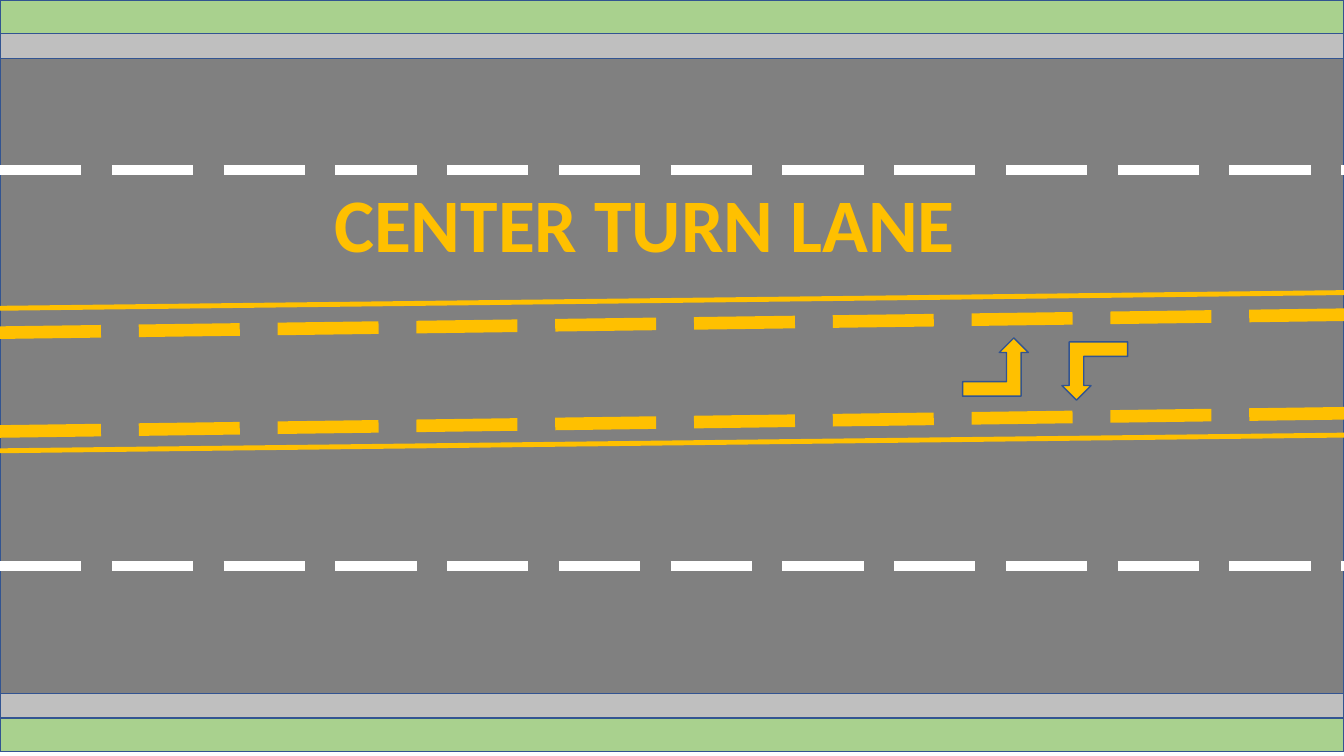
"""Draw a road from above with a center turn lane."""
from pptx import Presentation
from pptx.dml.color import RGBColor
from pptx.enum.dml import MSO_LINE
from pptx.enum.shapes import MSO_CONNECTOR, MSO_SHAPE
from pptx.enum.text import MSO_AUTO_SIZE, PP_ALIGN
from pptx.util import Pt
from lxml import etree

WIDTH, HEIGHT = 960, 540
YELLOW, WHITE, OUTLINE = "FFC000", "FFFFFF", "325491"
GRASS, SIDEWALK, ASPHALT = "A9D18E", "BFBFBF", "808080"
DRAWING = "http://schemas.openxmlformats.org/drawingml/2006/main"

HEADING = "CENTER TURN LANE"
HEADING_BOX = (229, 123, 463, 72.7)
STRIPS = [
    (SIDEWALK, 24, 18),
    (SIDEWALK, 495.1, 18),
    (GRASS, 0, 24),
    (GRASS, 512.8, 24),
    (ASPHALT, 41.8, 453.4),
]
MARKINGS = [
    (WHITE, 7.25, True, 121.2, 121.2),
    (WHITE, 7.25, True, 404.4, 404.4),
    (YELLOW, 3.5, False, 220.2, 209),
    (YELLOW, 3.5, False, 322, 310.8),
    (YELLOW, 9, True, 237.6, 224.8),
    (YELLOW, 9, True, 308.2, 295.2),
]
ARROW_SIZE = (47, 41.6)
TURN_ARROWS = [(687.6, 241.4, 0), (758.5, 244.2, 180)]


def color(hex_code):
    return RGBColor.from_string(hex_code)


def add_filled(slide, preset, box, fill):
    filled = slide.shapes.add_shape(preset, *map(Pt, box))
    filled.shadow.inherit = False
    filled.fill.solid()
    filled.fill.fore_color.rgb = color(fill)
    filled.line.color.rgb = color(OUTLINE)
    filled.line.width = Pt(1)
    return filled


def add_marking(slide, paint, thickness, dashed, left_y, right_y):
    marking = slide.shapes.add_connector(
        MSO_CONNECTOR.STRAIGHT, 0, Pt(left_y), Pt(WIDTH), Pt(right_y))
    marking.line.color.rgb = color(paint)
    marking.line.width = Pt(thickness)
    if dashed:
        marking.line.dash_style = MSO_LINE.LONG_DASH
    etree.SubElement(marking._element.spPr, f"{{{DRAWING}}}effectLst")


def add_heading(slide):
    frame = slide.shapes.add_textbox(*map(Pt, HEADING_BOX)).text_frame
    frame.word_wrap = False
    frame.auto_size = MSO_AUTO_SIZE.SHAPE_TO_FIT_TEXT
    frame.text = HEADING
    line = frame.paragraphs[0]
    line.alignment = PP_ALIGN.CENTER
    font = line.runs[0].font
    font.name, font.size, font.bold = "Calibri", Pt(54), True
    font.color.rgb = color(YELLOW)


deck = Presentation()
deck.slide_width, deck.slide_height = Pt(WIDTH), Pt(HEIGHT)
road = deck.slides.add_slide(deck.slide_layouts[6])

for surface, top, depth in STRIPS:
    add_filled(road, MSO_SHAPE.RECTANGLE, (0, top, WIDTH, depth), surface)
for marking in MARKINGS:
    add_marking(road, *marking)
for left, top, angle in TURN_ARROWS:
    turn = add_filled(road, MSO_SHAPE.BENT_UP_ARROW, (left, top, *ARROW_SIZE), YELLOW)
    turn.rotation = angle
add_heading(road)

deck.save("out.pptx")
